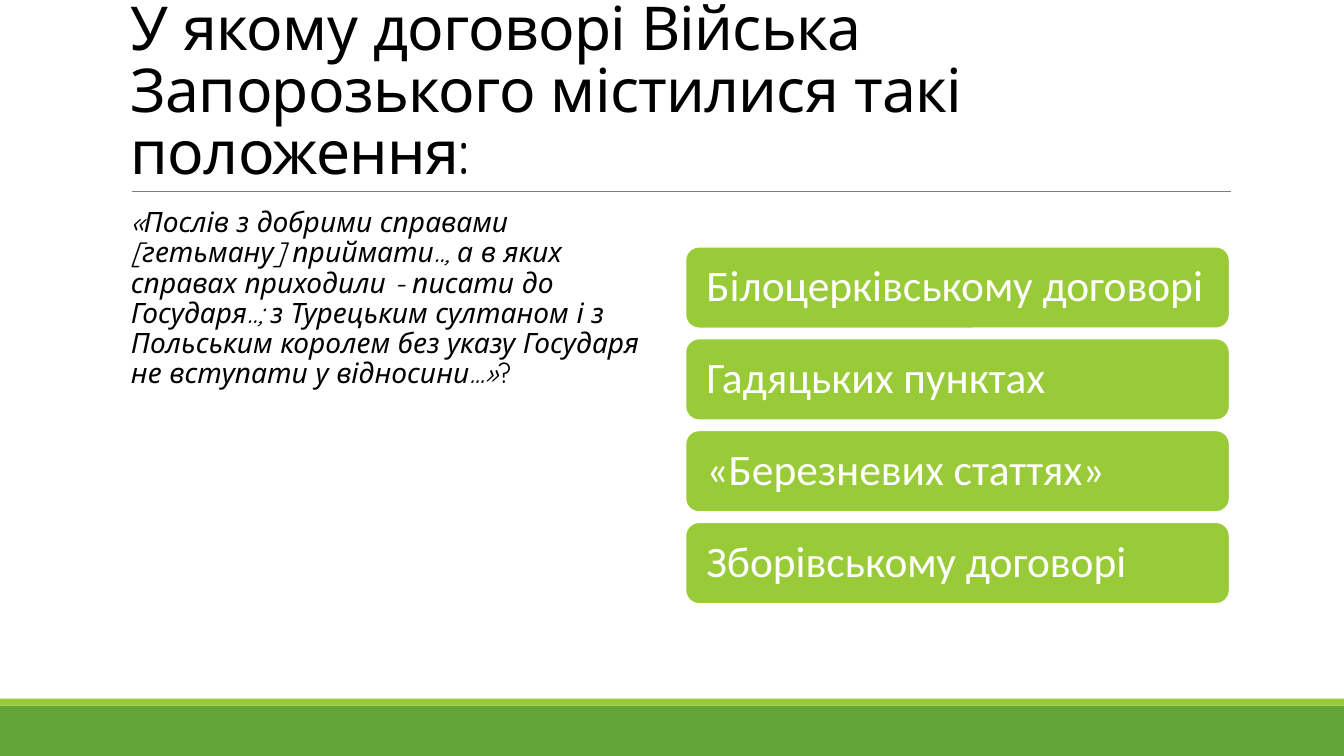
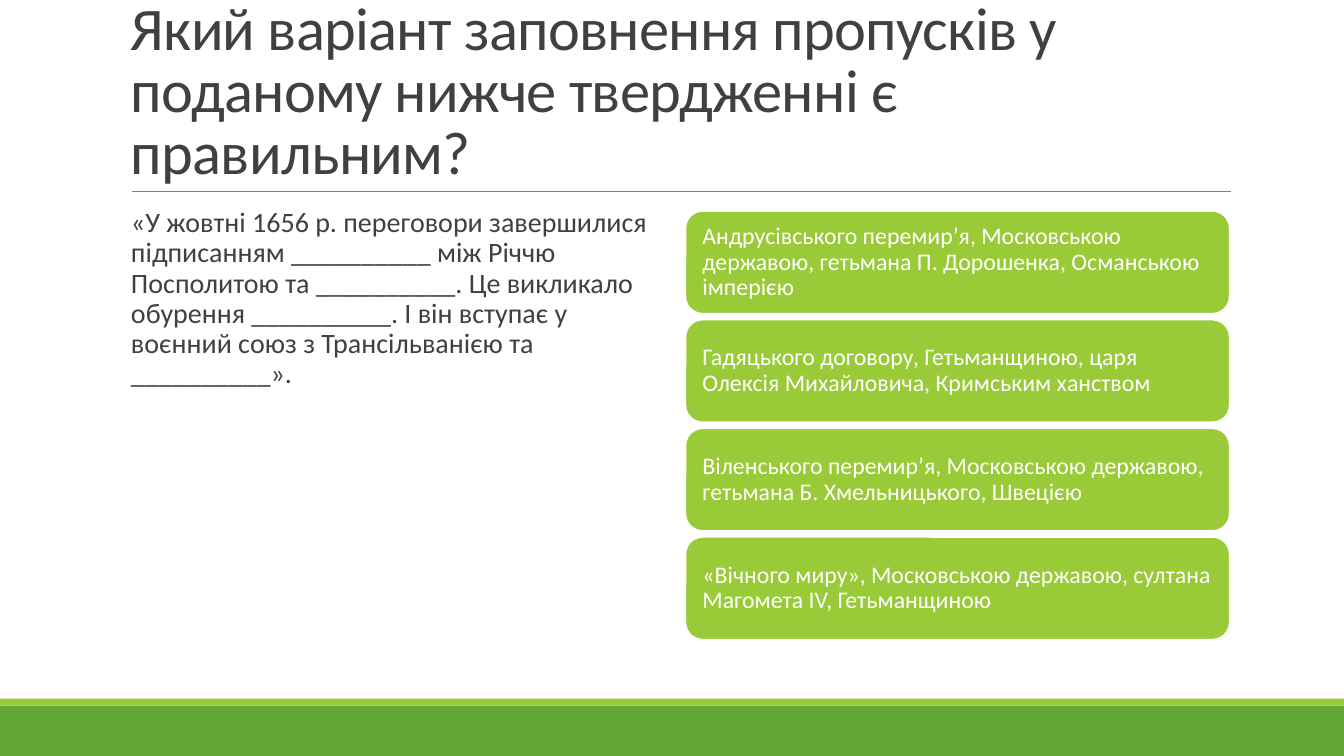
from lxml.etree import SubElement
from pptx import Presentation
from pptx.dml.color import RGBColor
from pptx.enum.shapes import MSO_CONNECTOR, MSO_SHAPE
from pptx.enum.text import MSO_ANCHOR, PP_ALIGN
from pptx.oxml.ns import qn
from pptx.util import Pt

COLORS = {
    "band": "63A537",
    "accent": "99CB38",
    "rule": "808080",
    "black": "000000",
    "gray": "404040",
    "white": "FFFFFF",
}
SLIDE_WIDTH, SLIDE_HEIGHT = 960, 540
BODY_TOP, BODY_HEIGHT = 145.4, 316.8
ANSWER_LEFT, ANSWER_WIDTH = 489.6, 388.8

QUESTIONS = [
    {
        "title": "У якому договорі Війська Запорозького містилися такі положення:",
        "quote": "«Послів з добрими справами [гетьману] приймати.., а в яких справах "
                 "приходили - писати до Государя..; з Турецьким султаном і з Польським "
                 "королем без указу Государя не вступати у відносини...»",
        "ending": "?",
        "italic": True,
        "font": "Quicksand",
        "color": "black",
        "answers": [
            "Білоцерківському договорі",
            "Гадяцьких пунктах",
            "«Березневих статтях»",
            "Зборівському договорі",
        ],
        "answer_size": 31,
        "answer_height": 58.4,
        "answer_gap": 7.2,
        "answer_inset": 12.2,
    },
    {
        "title": "Який варіант заповнення пропусків у поданому нижче твердженні є правильним?",
        "quote": "«У жовтні 1656 р. переговори завершилися підписанням __________ між "
                 "Річчю Посполитою та __________. Це викликало обурення __________. "
                 "І він вступає у воєнний союз з Трансільванією та __________».",
        "ending": "",
        "italic": False,
        "font": "Calibri",
        "color": "gray",
        "answers": [
            "Андрусівського перемир’я, Московською державою, гетьмана П. Дорошенка, "
            "Османською імперією",
            "Гадяцького договору, Гетьманщиною, царя Олексія Михайловича, "
            "Кримським ханством",
            "Віленського перемир’я, Московською державою, гетьмана Б. Хмельницького, "
            "Швецією",
            "«Вічного миру», Московською державою, султана Магомета IV, Гетьманщиною",
        ],
        "answer_size": 17,
        "answer_height": 73.4,
        "answer_gap": 4.2,
        "answer_inset": 8.6,
    },
]


def add_block(page, kind, left, top, width, height, fill):
    block = page.shapes.add_shape(kind, Pt(left), Pt(top), Pt(width), Pt(height))
    block.shadow.inherit = False
    block.fill.solid()
    block.fill.fore_color.rgb = RGBColor.from_string(COLORS[fill])
    block.line.fill.background()
    return block


def write_text(shape, text, font, size, color, spacing, anchor, inset=7.2):
    """Put one left-aligned, wrapped paragraph in the shape and return it."""
    frame = shape.text_frame
    frame.word_wrap = True
    frame.vertical_anchor = anchor
    frame.margin_left = frame.margin_right = Pt(inset)
    frame.margin_top = frame.margin_bottom = Pt(3.6)
    frame.text = text
    paragraph = frame.paragraphs[0]
    paragraph.alignment = PP_ALIGN.LEFT
    paragraph.line_spacing = spacing
    paragraph.font.name = font
    paragraph.font.size = Pt(size)
    paragraph.font.color.rgb = RGBColor.from_string(COLORS[color])
    for span in paragraph.runs:
        span.font.name = font
        span.font.size = Pt(size)
        span.font.color.rgb = RGBColor.from_string(COLORS[color])
    return paragraph


deck = Presentation()
deck.slide_width, deck.slide_height = Pt(SLIDE_WIDTH), Pt(SLIDE_HEIGHT)

for question in QUESTIONS:
    page = deck.slides.add_slide(deck.slide_layouts[6])
    font, color = question["font"], question["color"]

    # Footer bands and the rule under the title
    add_block(page, MSO_SHAPE.RECTANGLE, 0, 504, SLIDE_WIDTH, 36, "band")
    add_block(page, MSO_SHAPE.RECTANGLE, 0, 499, SLIDE_WIDTH, 5, "accent")
    rule = page.shapes.add_connector(
        MSO_CONNECTOR.STRAIGHT, Pt(94.3), Pt(136.8), Pt(879.1), Pt(136.8))
    rule.line.color.rgb = RGBColor.from_string(COLORS["rule"])
    rule.line.width = Pt(0.5)
    SubElement(rule._element.spPr, qn("a:effectLst"))

    # Title
    title_box = page.shapes.add_textbox(Pt(86.4), Pt(22.3), Pt(792), Pt(114.5))
    title = write_text(title_box, question["title"], font, 43.2, color, 0.85,
                       MSO_ANCHOR.BOTTOM)
    title.runs[0]._r.get_or_add_rPr().set("spc", "-50")

    # Quotation
    quote_box = page.shapes.add_textbox(
        Pt(93.6), Pt(BODY_TOP), Pt(381.6), Pt(BODY_HEIGHT))
    quote = write_text(quote_box, question["quote"], font, 20, color, 0.9,
                       MSO_ANCHOR.TOP, inset=0)
    quote.runs[0].font.italic = question["italic"]
    if question["ending"]:
        ending = quote.add_run()
        ending.text = question["ending"]
        ending.font.name = font
        ending.font.size = Pt(20)
        ending.font.color.rgb = RGBColor.from_string(COLORS[color])

    # Answers, stacked around the middle of the body
    answers, height = question["answers"], question["answer_height"]
    pitch = height + question["answer_gap"]
    stack_height = pitch * len(answers) - question["answer_gap"]
    stack_top = BODY_TOP + (BODY_HEIGHT - stack_height) / 2
    for index, answer in enumerate(answers):
        card = add_block(page, MSO_SHAPE.ROUNDED_RECTANGLE, ANSWER_LEFT,
                         stack_top + index * pitch, ANSWER_WIDTH, height, "accent")
        card.line.color.rgb = RGBColor.from_string(COLORS["white"])
        card.line.width = Pt(1.25)
        write_text(card, answer, "Calibri", question["answer_size"], "white", 0.9,
                   MSO_ANCHOR.MIDDLE, question["answer_inset"])

deck.save("out.pptx")
